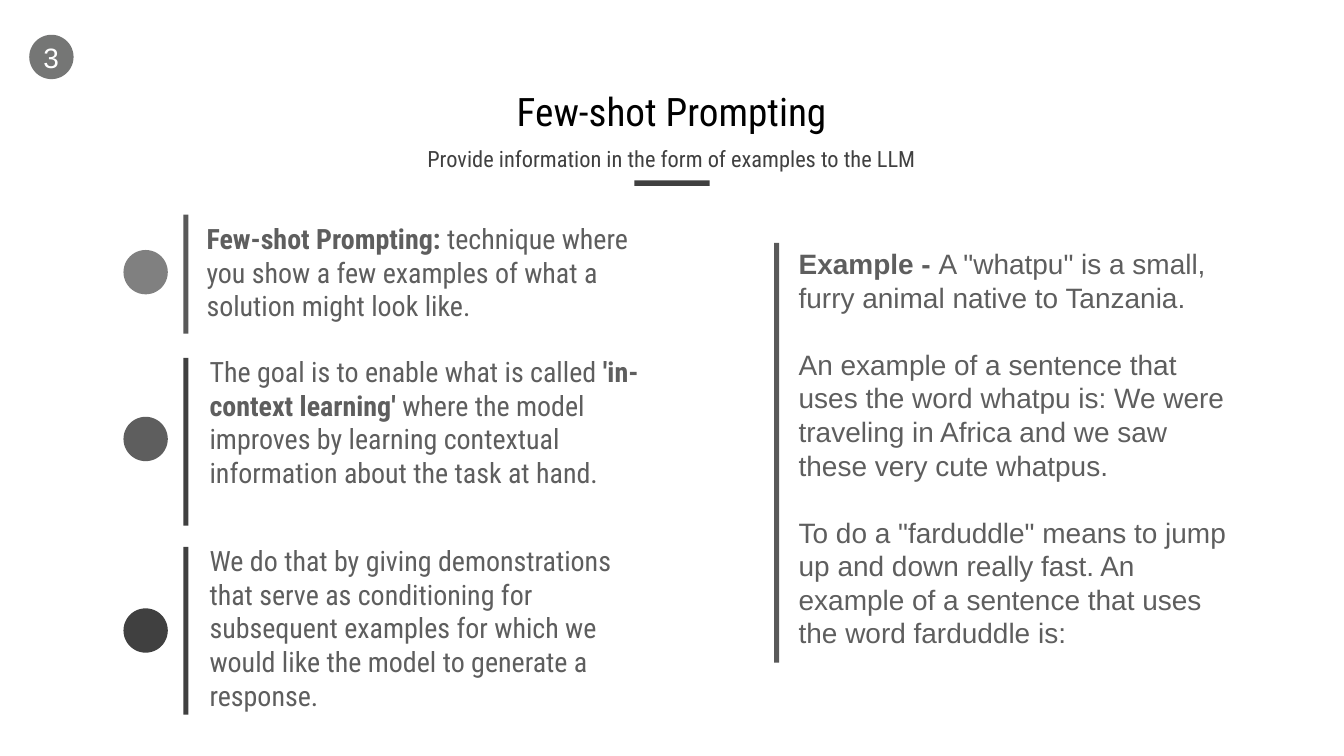
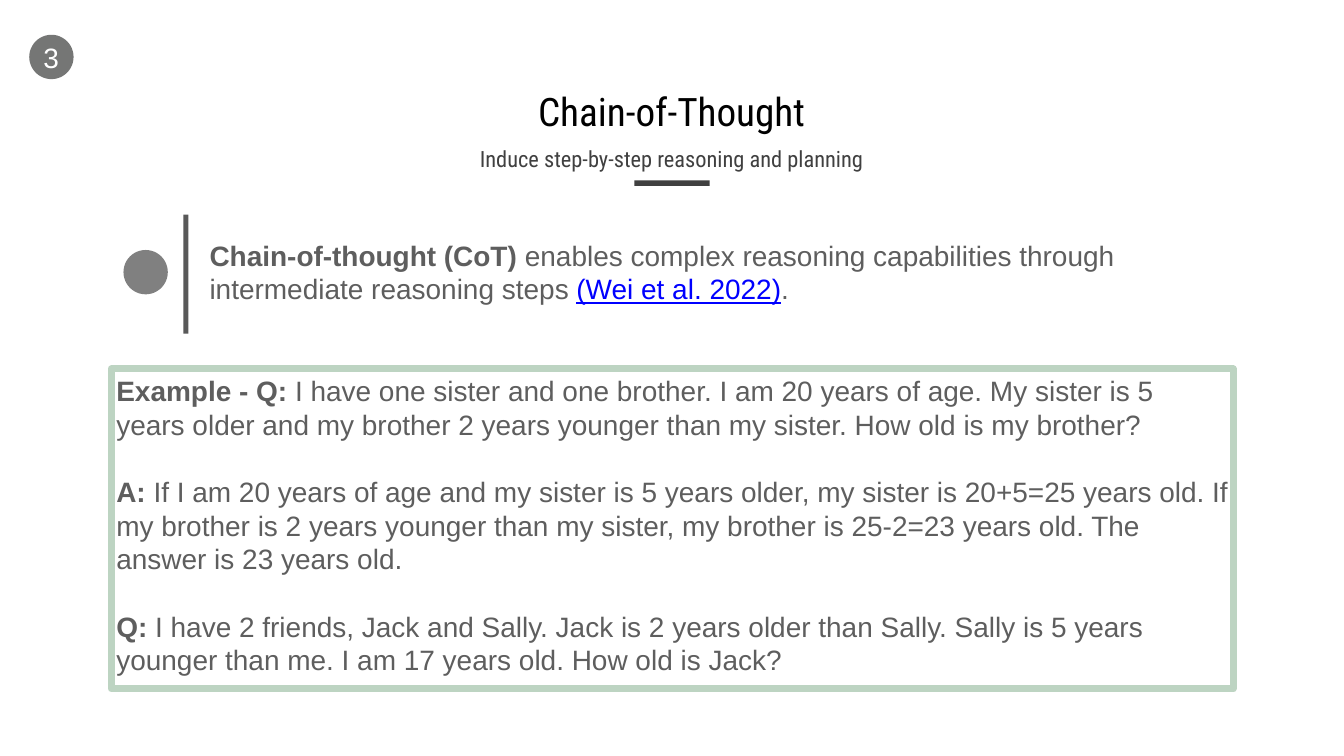
from pptx import Presentation
from pptx.dml.color import RGBColor
from pptx.enum.shapes import MSO_SHAPE
from pptx.enum.text import MSO_ANCHOR, PP_ALIGN
from pptx.util import Pt

# Content: a span is (text, style); a paragraph is a list of spans
SECTION = "3"
EXAMPLE_WORDS = [
    [("Example - ", "bold"), ('A "whatpu" is a small, furry animal native to Tanzania.', "plain")],
    [("An example of a sentence that uses the word whatpu is: We were traveling in Africa "
      "and we saw these very cute whatpus.", "plain")],
    [('To do a "farduddle" means to jump up and down really fast. An example of a sentence '
      "that uses the word farduddle is:", "plain")],
]
EXAMPLE_AGES = [
    [("Example - Q: ", "bold"),
     ("I have one sister and one brother. I am 20 years of age. My sister is 5 years older "
      "and my brother 2 years younger than my sister. How old is my brother?", "plain")],
    [("A:", "bold"),
     (" If I am 20 years of age and my sister is 5 years older, my sister is 20+5=25 years old. "
      "If my brother is 2 years younger than my sister, my brother is 25-2=23 years old. "
      "The answer is 23 years old.", "plain")],
    [("Q:", "bold"),
     (" I have 2 friends, Jack and Sally. Jack is 2 years older than Sally. Sally is 5 years "
      "younger than me. I am 17 years old. How old is Jack?", "plain")],
]
# Points: dot colour, dot top, bar colour, bar top and height, text frame, font, spans
SLIDES = [
    {
        "title": "Few-shot Prompting",
        "subtitle": "Provide information in the form of examples to the LLM",
        "points": [
            ("light", 357.12, "bar", 306.72, 169.92, (288, 309.6, 641.52, 158.4), "Roboto Condensed",
             [("Few-shot Prompting: ", "bold"),
              ("technique where you show a few examples of what a solution might look like.", "plain")]),
            ("text", 595.44, "dark", 511.2, 239.76, (292.32, 499.68, 641.52, 254.16), "Roboto Condensed",
             [("The goal is to enable what is called ", "plain"), ("'in-context learning' ", "bold"),
              ("where the model improves by learning contextual information about the task at hand.",
               "plain")]),
            ("dark", 869.04, "dark", 781.2, 239.76, (292.32, 769.68, 641.52, 254.16), "Roboto Condensed",
             [("We do that by giving demonstrations that serve as conditioning for subsequent "
               "examples for which we would like the model to generate a response.", "plain")]),
        ],
        "example": EXAMPLE_WORDS,
        "example_frame": (1134, 344.88, 641.52, 590.4),
        "example_bar": (1105.92, 347.04, 7.2, 599.76),
    },
    {
        "title": "Chain-of-Thought",
        "subtitle": "Induce step-by-step reasoning and planning",
        "points": [
            ("light", 357.12, "bar", 306.72, 169.92, (292.32, 333.36, 1478.88, 110.16), "Arial",
             [("Chain-of-thought (CoT) ", "bold"),
              ("enables complex reasoning capabilities through intermediate reasoning steps ", "plain"),
              ("(Wei et al. 2022)", "citation"), (".", "plain")]),
        ],
        "example": EXAMPLE_AGES,
        "example_frame": (159.12, 527.04, 1602.72, 457.2),
        "example_border": ("mint", 10),
    },
]

# Shared look
COLORS = {"black": "000000", "white": "FFFFFF", "dark": "404040", "bar": "595959", "text": "5E5E5E",
          "light": "808080", "badge": "757675", "link": "0000FF", "mint": "BDD4C2"}
STYLES = {
    "plain": {"bold": False, "color": "text"},
    "bold": {"bold": True, "color": "text"},
    "citation": {"underline": True, "color": "link"},
    "title": {"size": Pt(56), "color": "black"},
    "subtitle": {"size": Pt(32), "color": "dark"},
    "badge": {"color": "white"},
}
TITLE_FRAME = (131.76, 113.76, 1656, 96.48)
SUBTITLE_FRAME = (138.96, 202.32, 1641.6, 54)
RULE_FRAME = (906.48, 257.76, 107.28, 7.92)
BADGE_FRAME = (41.76, 49.68, 63.36, 63.36)
NUMBER_FRAME = (57.6, 53.28, 30.96, 56.16)
DOT_LEFT, DOT_SIZE = 176.4, 63.36
BAR_LEFT, BAR_WIDTH = 262.08, 7.2
LINE = 48


def rgb(name):
    return RGBColor.from_string(COLORS[name])


def lengths(frame):
    return [Pt(value) for value in frame]


def add_span(para, text, style, font):
    span = para.add_run()
    span.text = text
    values = {"name": font, "size": Pt(40), **STYLES[style]}
    span.font.color.rgb = rgb(values.pop("color"))
    for name, value in values.items():
        setattr(span.font, name, value)


def write(box, paragraphs, font, anchor=MSO_ANCHOR.TOP, inset=7.2, wrap=True, **para_format):
    """Fill a box; later paragraphs stand one line apart."""
    frame = box.text_frame
    sides = {f"margin_{side}": Pt(inset) for side in ("left", "top", "right", "bottom")}
    for name, value in {"word_wrap": wrap, "vertical_anchor": anchor, **sides}.items():
        setattr(frame, name, value)
    for index, spans in enumerate(paragraphs):
        para = frame.paragraphs[0] if index == 0 else frame.add_paragraph()
        values = {"alignment": PP_ALIGN.LEFT, "line_spacing": Pt(LINE),
                  "space_before": Pt(LINE if index else 0), **para_format}
        for name, value in values.items():
            setattr(para, name, value)
        for text, style in spans:
            add_span(para, text, style, font)


def add_text(page, frame, *args, **options):
    write(page.shapes.add_textbox(*lengths(frame)), *args, **options)


def add_block(page, kind, frame, fill=None, border=None):
    block = page.shapes.add_shape(kind, *lengths(frame))
    block.shadow.inherit = False
    if fill:
        block.fill.solid()
        block.fill.fore_color.rgb = rgb(fill)
    else:
        block.fill.background()
    if border:
        color, width = border
        block.line.color.rgb = rgb(color)
        block.line.width = Pt(width)
    else:
        block.line.fill.background()
    return block


def add_heading(page, title, subtitle):
    heading = {"font": "Roboto Condensed", "anchor": MSO_ANCHOR.MIDDLE,
               "alignment": PP_ALIGN.CENTER, "line_spacing": 0.9}
    box = page.shapes.title
    for name, value in zip(("left", "top", "width", "height"), lengths(TITLE_FRAME)):
        setattr(box, name, value)
    write(box, [[(title, "title")]], **heading)
    add_text(page, SUBTITLE_FRAME, [[(subtitle, "subtitle")]], **heading)
    add_block(page, MSO_SHAPE.RECTANGLE, RULE_FRAME, "dark")
    # Section badge
    add_block(page, MSO_SHAPE.OVAL, BADGE_FRAME, "badge")
    add_text(page, NUMBER_FRAME, [[(SECTION, "badge")]], "Arial", anchor=MSO_ANCHOR.MIDDLE,
             inset=4.32, wrap=False, alignment=PP_ALIGN.CENTER, line_spacing=1.0)


def add_point(page, dot_color, dot_top, bar_color, bar_top, bar_height, text_frame, font, spans):
    add_block(page, MSO_SHAPE.OVAL, (DOT_LEFT, dot_top, DOT_SIZE, DOT_SIZE), dot_color)
    add_block(page, MSO_SHAPE.RECTANGLE, (BAR_LEFT, bar_top, BAR_WIDTH, bar_height), bar_color)
    add_text(page, text_frame, [spans], font)


def add_example(page, content):
    if "example_bar" in content:
        add_block(page, MSO_SHAPE.RECTANGLE, content["example_bar"], "bar")
        add_text(page, content["example_frame"], content["example"], "Arial")
    else:
        box = add_block(page, MSO_SHAPE.RECTANGLE, content["example_frame"],
                        border=content["example_border"])
        write(box, content["example"], "Arial")


def main():
    deck = Presentation()
    deck.slide_width, deck.slide_height = Pt(1920.24), Pt(1080)
    title_only = deck.slide_layouts[5]
    for content in SLIDES:
        page = deck.slides.add_slide(title_only)
        add_heading(page, content["title"], content["subtitle"])
        for point in content["points"]:
            add_point(page, *point)
        add_example(page, content)
    deck.save("out.pptx")


if __name__ == "__main__":
    main()
